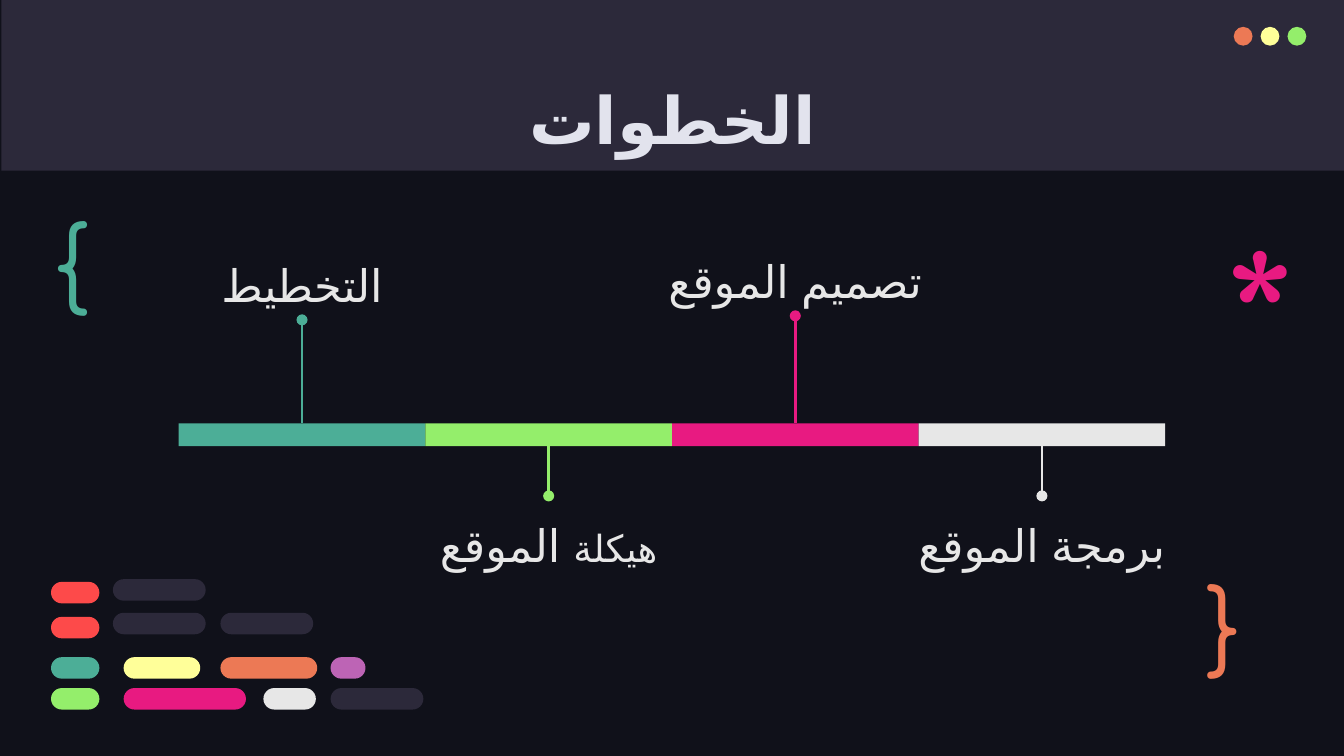
from lxml.etree import SubElement
from pptx import Presentation
from pptx.dml.color import RGBColor
from pptx.enum.lang import MSO_LANGUAGE_ID
from pptx.enum.shapes import MSO_CONNECTOR, MSO_SHAPE
from pptx.enum.text import MSO_ANCHOR, PP_ALIGN
from pptx.oxml.ns import qn
from pptx.util import Inches, Pt

COLORS = {
    "background": "10111A", "panel": "2C293A", "title": "E2E3ED",
    "teal": "4CAE97", "green": "94EE6B", "pink": "E81A81", "white": "E7E7E7",
    "orange": "EC7955", "yellow": "FFFF99", "red": "FD4A4A", "purple": "BD64B5",
}
MONO, ROUND, ARABIC = "Noto Sans Mono", "Comfortaa", "Arial"

# Each step: colour, label runs (text, size), font, label box, height of the dot
STEPS = [
    ("teal", [("التخطيط", 24)], ARABIC, (1.76, 2.51, 0.63), 2.38),
    ("green", [("هيكلة", 20), (" الموقع", 24)], MONO, (3.69, 2.34, 0.87), 3.69),
    ("pink", [("تصميم الموقع", 24)], MONO, (1.73, 2.34, 0.63), 2.35),
    ("white", [("برمجة الموقع", 24)], MONO, (3.69, 2.34, 0.87), 3.69),
]

# Each row: offset from the top, then pills as (offset from the left, width, colour)
PILL_ROWS = [
    (0, [(0.46, 0.69, "panel")]),
    (0.02, [(0, 0.36, "red")]),
    (0.25, [(0.46, 0.69, "panel"), (1.26, 0.69, "panel")]),
    (0.28, [(0, 0.36, "red")]),
    (0.58, [(0, 0.36, "teal"), (0.54, 0.57, "yellow"),
            (1.26, 0.72, "orange"), (2.08, 0.26, "purple")]),
    (0.81, [(0, 0.36, "green"), (0.54, 0.91, "pink"),
            (1.58, 0.39, "white"), (2.08, 0.69, "panel")]),
]


def rgb(color):
    return RGBColor.from_string(COLORS[color])


def add_block(slide, kind, left, top, width, height, color):
    """Add a filled preset shape without outline or shadow."""
    shape = slide.shapes.add_shape(
        kind, Inches(left), Inches(top), Inches(width), Inches(height))
    shape.shadow.inherit = False
    shape.fill.solid()
    shape.fill.fore_color.rgb = rgb(color)
    shape.line.fill.background()
    return shape


def add_text(slide, box, runs, font, color, bold=False, anchor=MSO_ANCHOR.TOP,
             language=MSO_LANGUAGE_ID.ARABIC, **paragraph_format):
    """Add a one-paragraph text box; runs are (text, size) pairs."""
    frame = slide.shapes.add_textbox(*map(Inches, box)).text_frame
    frame.word_wrap = True
    frame.vertical_anchor = anchor
    for side in ("left", "top", "right", "bottom"):
        setattr(frame, f"margin_{side}", Inches(0.1))
    paragraph = frame.paragraphs[0]
    for name, value in paragraph_format.items():
        setattr(paragraph, name, value)
    run_format = {"name": font, "bold": bold, "language_id": language}
    for text, size in runs:
        run = paragraph.add_run()
        run.text = text
        run.font.size = Pt(size)
        for name, value in run_format.items():
            setattr(run.font, name, value)
        run.font.color.rgb = rgb(color)
        SubElement(run.font._element, qn("a:cs"), typeface=ARABIC)


def add_stem(slide, x, start, end, color):
    """Add a vertical line that ends in a dot."""
    line = slide.shapes.add_connector(
        MSO_CONNECTOR.STRAIGHT, Inches(x), Inches(start), Inches(x), Inches(end))
    line.line.color.rgb = rgb(color)
    line.line.width = Pt(1.5)
    SubElement(line.line._get_or_add_ln(), qn("a:tailEnd"), type="oval")
    SubElement(line._element.spPr, qn("a:effectLst"))


def add_header(slide, left, top, width, height):
    add_block(slide, MSO_SHAPE.RECTANGLE, left, top, width, height, "panel")
    for index, color in enumerate(("orange", "yellow", "green")):
        add_block(slide, MSO_SHAPE.OVAL, left + 9.17 + index * 0.2, top + 0.2,
                  0.14, 0.14, color)
    add_text(slide, (left + 0.78, top + 0.49, 8.43, 0.63), [("الخطوات", 35)],
             MONO, "title", bold=True, alignment=PP_ALIGN.CENTER)


def add_timeline(slide, left, top, width, height):
    """Add the bar of equal segments, each with a stem and a label."""
    segment = width / len(STEPS)
    for index, (color, runs, font, label, dot) in enumerate(STEPS):
        x = left + index * segment
        center = x + segment / 2
        label_top, label_width, label_height = label
        add_block(slide, MSO_SHAPE.RECTANGLE, x, top, segment, height, color)
        add_stem(slide, center, top if dot < top else top + height, dot, color)
        add_text(slide, (center - label_width / 2, label_top, label_width, label_height),
                 runs, font, "white", alignment=PP_ALIGN.CENTER, line_spacing=1.15)


def add_code_pills(slide, left, top):
    for row_offset, pills in PILL_ROWS:
        for offset, width, color in pills:
            pill = add_block(slide, MSO_SHAPE.ROUNDED_RECTANGLE, left + offset,
                             top + row_offset, width, 0.16, color)
            pill.adjustments[0] = 0.5


def add_symbols(slide):
    for text, size, color, box, anchor in [
        ("*", 96, "pink", (9.02, 1.48, 0.57, 0.87), MSO_ANCHOR.TOP),
        ("{", 50, "teal", (0.3, 1.4, 0.77, 0.95), MSO_ANCHOR.TOP),
        ("}", 50, "orange", (8.88, 4.2, 0.57, 0.83), MSO_ANCHOR.MIDDLE),
    ]:
        add_text(slide, box, [(text, size)], ROUND, color, anchor=anchor,
                 language=MSO_LANGUAGE_ID.ENGLISH_US)


def main():
    presentation = Presentation()
    presentation.slide_width = Inches(10)
    presentation.slide_height = Inches(10 * 9 / 16)
    slide = presentation.slides.add_slide(presentation.slide_layouts[6])
    slide.background.fill.solid()
    slide.background.fill.fore_color.rgb = rgb("background")
    add_header(slide, 0.01, 0, 10, 1.27)
    add_timeline(slide, 1.33, 3.15, 7.34, 0.17)
    add_code_pills(slide, 0.38, 4.31)
    add_symbols(slide)
    presentation.save("out.pptx")


if __name__ == "__main__":
    main()
